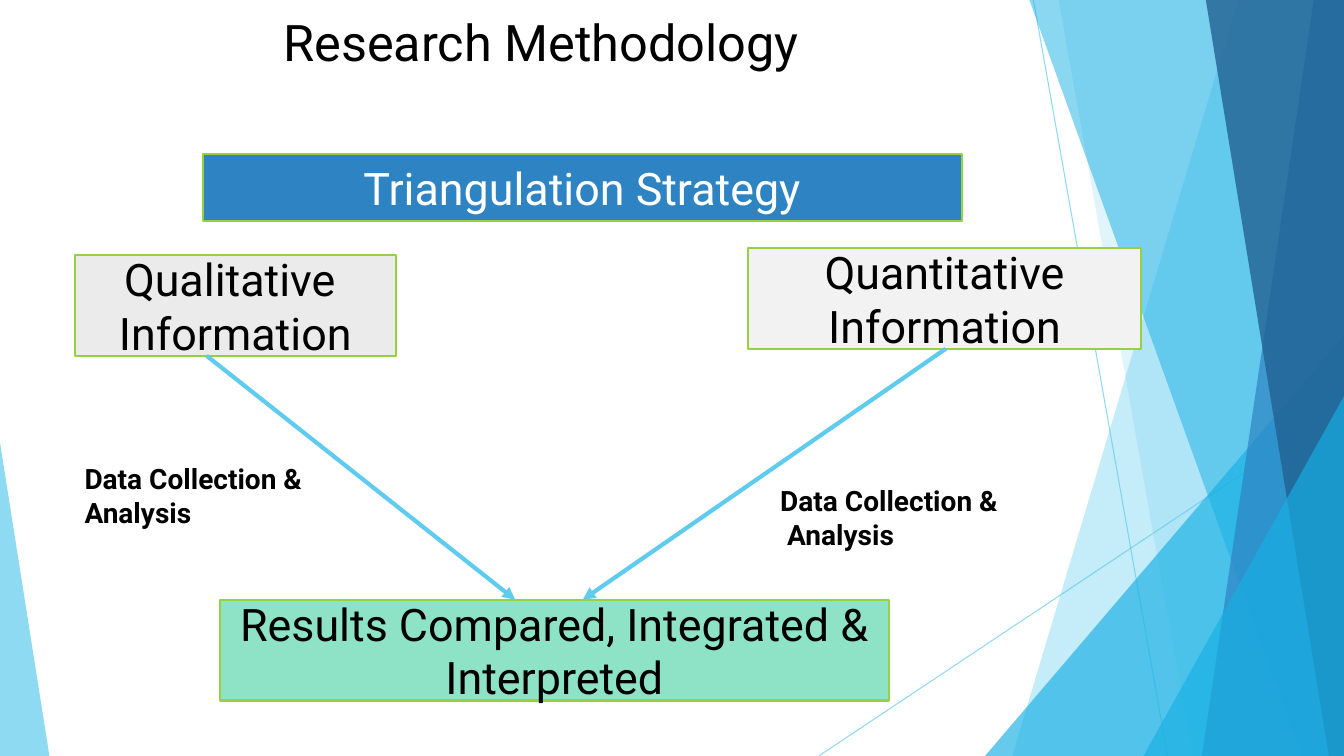
from lxml.etree import SubElement
from pptx import Presentation
from pptx.dml.color import RGBColor
from pptx.enum.shapes import MSO_CONNECTOR as Connector, MSO_SHAPE as Shape
from pptx.enum.text import MSO_ANCHOR as Anchor, MSO_AUTO_SIZE as AutoSize, PP_ALIGN as Align
from pptx.oxml.ns import qn
from pptx.util import Inches, Pt

WIDTH, HEIGHT = 13.33, 7.5
BLACK = RGBColor(0x00, 0x00, 0x00)
WHITE = RGBColor(0xFF, 0xFF, 0xFF)
SKY = RGBColor(0x5F, 0xCB, 0xEF)
CYAN = RGBColor(0x17, 0xB0, 0xE4)
BLUE = RGBColor(0x2E, 0x83, 0xC3)
NAVY = RGBColor(0x22, 0x62, 0x92)
GREEN = RGBColor(0x96, 0xD1, 0x41)
MINT = RGBColor(0x8E, 0xE3, 0xC7)
GREY = RGBColor(0xEB, 0xEB, 0xEB)
PALE_GREY = RGBColor(0xF2, 0xF2, 0xF2)


class SlideBuilder:
    font = "Roboto"

    def __init__(self, page):
        self.page = page
        self.shapes = page.shapes

    def fade(self, fill, holder, color, opacity):
        fill.solid()
        fill.fore_color.rgb = color
        element = holder.find(qn("a:solidFill"))[0]
        SubElement(element, qn("a:alpha"), val=str(opacity * 1000))

    def decorate(self, shape, color, opacity):
        shape.shadow.inherit = False
        shape.line.fill.background()
        self.fade(shape.fill, shape._element.spPr, color, opacity)

    def band(self, top_x, bottom_x, color, opacity):
        points = [(top_x, 0), (WIDTH, 0), (WIDTH, HEIGHT), (bottom_x, HEIGHT)]
        corners = [(Inches(x), Inches(y)) for x, y in points]
        outline = self.shapes.build_freeform(*corners[0])
        outline.add_line_segments(corners[1:], close=True)
        self.decorate(outline.convert_to_shape(), color, opacity)

    def corner(self, left, top, width, apex, color, opacity):
        triangle = self.shapes.add_shape(
            Shape.ISOSCELES_TRIANGLE, Inches(left), Inches(top), Inches(width), Inches(HEIGHT - top))
        triangle.adjustments[0] = apex
        self.decorate(triangle, color, opacity)

    def line(self, start, end, width, opacity=100, arrow=False):
        ends = [Inches(value) for value in start + end]
        connector = self.shapes.add_connector(Connector.STRAIGHT, *ends)
        connector.line.width = Pt(width)
        properties = connector._element.spPr
        outline = properties.find(qn("a:ln"))
        self.fade(connector.line.fill, outline, SKY, opacity)
        if arrow:
            SubElement(outline, qn("a:tailEnd"), type="triangle")
        SubElement(properties, qn("a:effectLst"))

    def set_text(self, shape, text, size, color=BLACK, bold=False, align=Align.LEFT):
        frame = shape.text_frame
        frame.word_wrap = True
        frame.text = text
        for para in frame.paragraphs:
            para.alignment = align
            for span in para.runs:
                span.font.name = self.font
                span.font.size = Pt(size)
                span.font.bold = bold
                span.font.color.rgb = color
        return frame

    def box(self, left, top, width, height, text, fill, color=BLACK):
        box = self.shapes.add_shape(
            Shape.RECTANGLE, Inches(left), Inches(top), Inches(width), Inches(height))
        box.shadow.inherit = False
        box.fill.solid()
        box.fill.fore_color.rgb = fill
        box.line.color.rgb = GREEN
        box.line.width = Pt(1.5)
        frame = self.set_text(box, text, 32, color, align=Align.CENTER)
        frame.vertical_anchor = Anchor.MIDDLE

    def text(self, left, top, width, height, text, size, bold=False):
        box = self.shapes.add_textbox(Inches(left), Inches(top), Inches(width), Inches(height))
        return self.set_text(box, text, size, bold=bold)

    def label(self, left, top, width, text):
        frame = self.text(left, top, width, 0.77, text, 20, bold=True)
        frame.auto_size = AutoSize.SHAPE_TO_FIT_TEXT


deck = Presentation()
deck.slide_width, deck.slide_height = Inches(WIDTH), Inches(HEIGHT)
slide = SlideBuilder(deck.slides.add_slide(deck.slide_layouts[6]))

slide.line((10.25, 0), (11.58, HEIGHT), 0.75, 70)
slide.line((WIDTH, 4.03), (8.12, HEIGHT), 0.75, 70)
slide.band(12.28, 10.04, SKY, 36)
slide.band(10.5, 11.83, SKY, 20)
slide.corner(9.77, 3.33, 3.56, 1, CYAN, 66)
slide.band(10.21, 12.91, CYAN, 50)
slide.band(13.03, 11.92, BLUE, 70)
slide.band(11.96, 13.18, NAVY, 80)
slide.corner(11.34, 3.93, 1.99, 1, CYAN, 66)
slide.corner(0, 4.39, 0.49, 0, SKY, 70)

slide.box(2.01, 1.53, 7.53, 0.66, "Triangulation Strategy", BLUE, WHITE)
slide.box(0.74, 2.53, 3.19, 1, "Qualitative \nInformation", GREY)
slide.box(7.42, 2.46, 3.9, 1, "Quantitative Information", PALE_GREY)
slide.box(2.18, 5.95, 6.64, 1, "Results Compared, Integrated & Interpreted", MINT)

slide.line((2.05, 3.53), (5.11, 5.95), 3, arrow=True)
slide.line((9.38, 3.46), (5.78, 5.95), 3, arrow=True)
slide.label(7.64, 4.75, 4.14, "Data Collection &\n Analysis")
slide.label(0.74, 4.53, 3.4, "Data Collection & Analysis")

title = slide.text(2.34, 0.06, 9.4, 1.44, "Research Methodology", 36)
title.margin_left = Inches(0.47)

deck.save("out.pptx")
